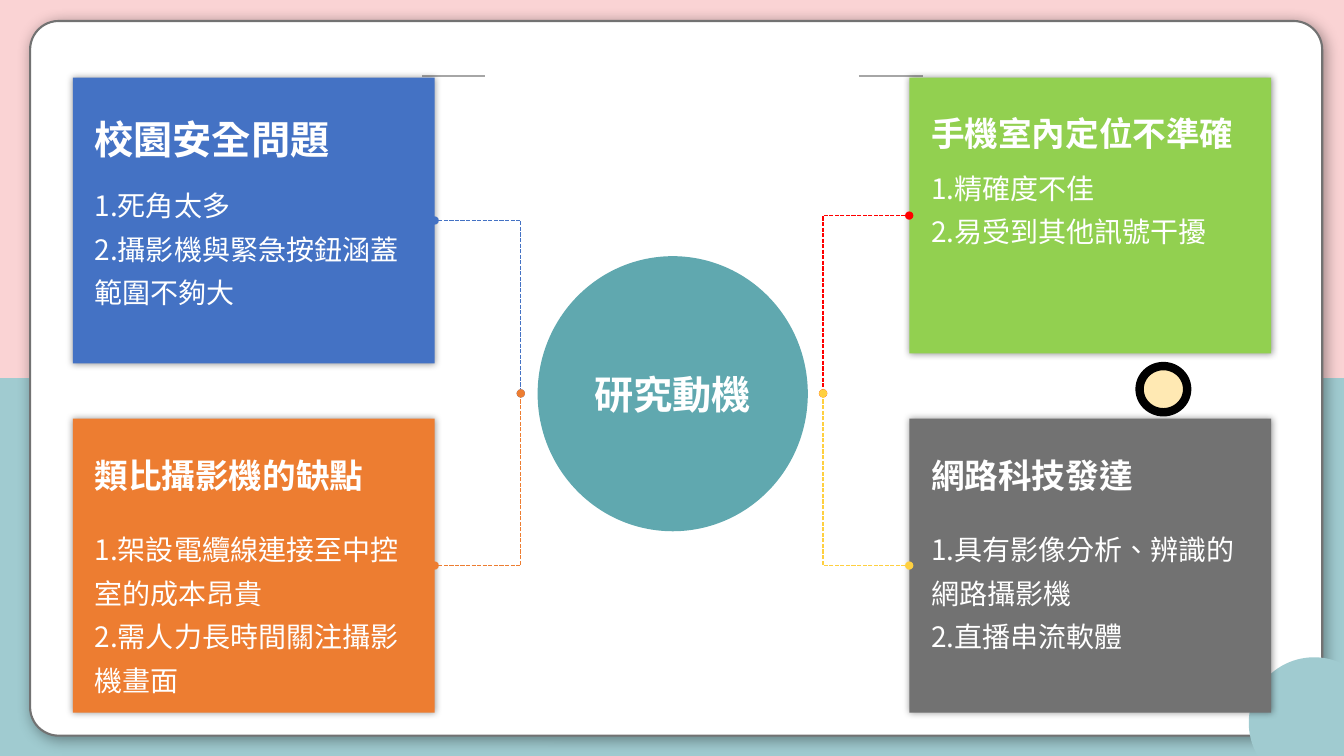
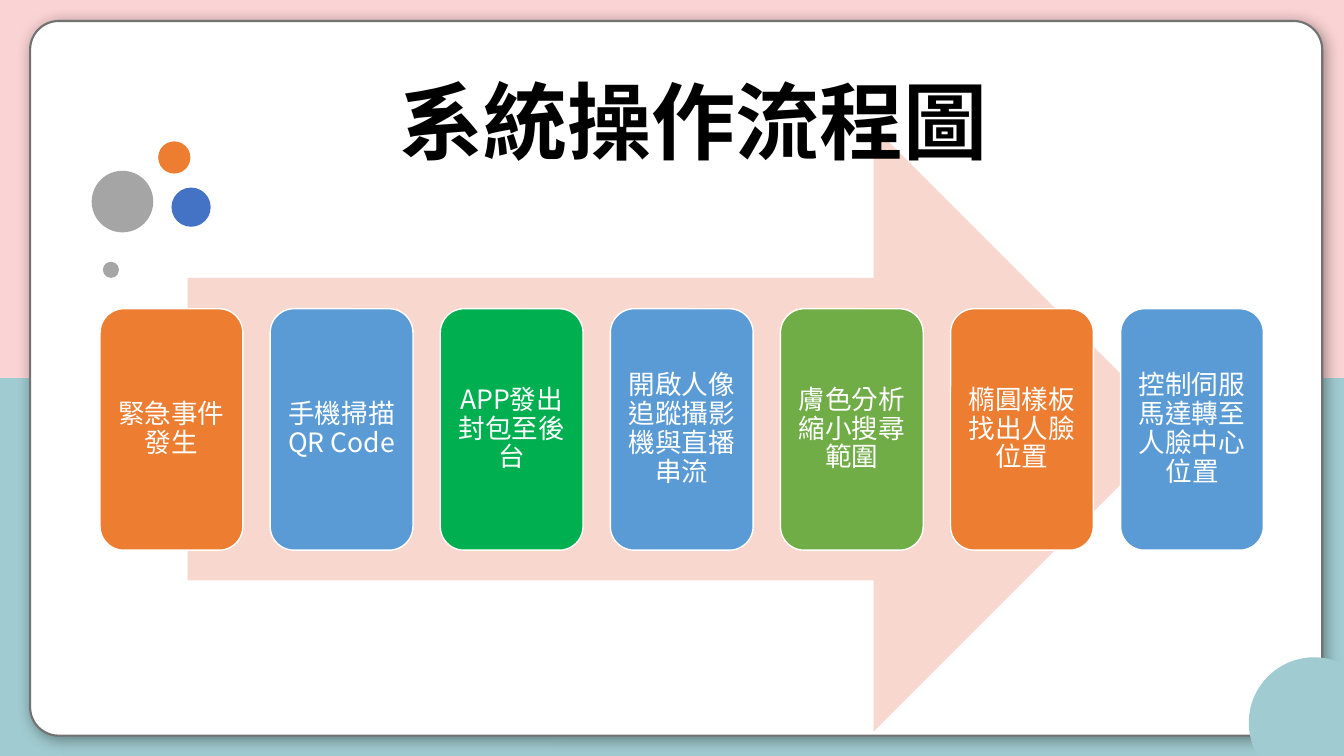
import pptx
import pptx.chart.data
import pptx.dml.color
import pptx.enum.dml
import pptx.enum.lang
import pptx.enum.shapes
import pptx.enum.text
import pptx.oxml
import pptx.oxml.ns
import pptx.util

Pt = pptx.util.Pt
SHAPE = pptx.enum.shapes.MSO_SHAPE
ALIGN = pptx.enum.text.PP_ALIGN
ANCHOR = pptx.enum.text.MSO_ANCHOR
qn = pptx.oxml.ns.qn

# Shared look
FONT = "Noto Sans CJK SC"
WHITE, BLACK, TEAL, PINK, GRAY = "FFFFFF", "000000", "A0CBD0", "FAD3D4", "727272"
BLUE, ORANGE = "4472C4", "ED7D31"
SLIDE_W, SLIDE_H = 960, 540

# Motivation slide: lengths in points
MOTIVATION = "研究動機"
HUB = (384, 183, 193, 196.5)
CARD_W, CARD_INSET = 258.5, 8.5
LEFT_X, RIGHT_X = 52, 649.5
JOINT_Y = 281
JOINT_REACH = 61.5
CARDS = [
    dict(x=LEFT_X, y=55.5, h=204, fill=BLUE, link=BLUE, link_y=157.5,
         heading="校園安全問題", size=28, heading_y=69, body_y=124,
         points=["1.死角太多", "2.攝影機與緊急按鈕涵蓋範圍不夠大"]),
    dict(x=LEFT_X, y=299, h=210, fill=ORANGE, link=ORANGE, link_y=404,
         heading="類比攝影機的缺點", size=24, heading_y=312.5, body_y=369.5,
         points=["1.架設電纜線連接至中控室的成本昂貴", "2.需人力長時間關注攝影機畫面"]),
    dict(x=RIGHT_X, y=55.5, h=197, fill="92D050", link="FF0000", link_y=154,
         heading="手機室內定位不準確", size=24, heading_y=68.5, body_y=111.5,
         points=["1.精確度不佳", "2.易受到其他訊號干擾"]),
    dict(x=RIGHT_X, y=299, h=210, fill=GRAY, link="FFD040", link_y=404,
         heading="網路科技發達", size=24, heading_y=312.5, body_y=369.5,
         points=["1.具有影像分析、辨識的網路攝影機", "2.直播串流軟體"]),
]
TOP_RULES = [(613.5, 659), (301.5, 346.5)]

# Workflow slide
WORKFLOW = "系統操作流程圖"
STEPS = [
    ("緊急事件發生", ORANGE),
    ("手機掃描QR Code", "5B9BD5"),
    ("APP發出封包至後台", "00B050"),
    ("開啟人像追蹤攝影機與直播串流", "5B9BD5"),
    ("膚色分析縮小搜尋範圍", "70AD47"),
    ("橢圓樣板找出人臉位置", ORANGE),
    ("控制伺服馬達轉至人臉中心位置", "5B9BD5"),
]
STEPS_LEFT, STEPS_RIGHT, STEP_W = 71.5, 902.5, 102
BUBBLES = [(122.5, 134, 28, BLUE), (113, 101, 23, ORANGE),
           (73.5, 187, 11.5, "A5A5A5"), (65.5, 122, 44, "A5A5A5")]


def rgb(color):
    return pptx.dml.color.RGBColor.from_string(color)


def add_block(slide, kind, box, fill, line=None, line_w=1):
    block = slide.shapes.add_shape(kind, *map(Pt, box))
    block.shadow.inherit = False
    block.fill.solid()
    block.fill.fore_color.rgb = rgb(fill)
    if line:
        block.line.color.rgb = rgb(line)
        block.line.width = Pt(line_w)
    else:
        block.line.fill.background()
    return block


def add_shadow(block, blur, distance=0, degrees=0):
    effects = block._element.spPr.find(qn("a:effectLst"))
    effects.append(pptx.oxml.parse_xml(
        f'<a:outerShdw {pptx.oxml.ns.nsdecls("a")} blurRad="{Pt(blur)}" dist="{Pt(distance)}" '
        f'dir="{degrees * 60000}" algn="ctr" rotWithShape="0"><a:srgbClr val="{BLACK}">'
        '<a:alpha val="40000"/></a:srgbClr></a:outerShdw>'))


def write(shape, paragraphs, size, color=WHITE, bold=False, align=ALIGN.LEFT,
          anchor=ANCHOR.TOP, spacing=1.0, margins=(7.2, 3.6)):
    frame = shape.text_frame
    frame.word_wrap = True
    frame.auto_size = pptx.enum.text.MSO_AUTO_SIZE.NONE
    frame.vertical_anchor = anchor
    frame.margin_left = frame.margin_right = Pt(margins[0])
    frame.margin_top = frame.margin_bottom = Pt(margins[1])
    frame.text = "\n".join(paragraphs)
    for paragraph in frame.paragraphs:
        paragraph.alignment = align
        paragraph.line_spacing = spacing
        for run in paragraph.runs:
            run.font.name = FONT
            run.font.size = Pt(size)
            run.font.bold = bold
            run.font.color.rgb = rgb(color)
            run.font.language_id = pptx.enum.lang.MSO_LANGUAGE_ID.TRADITIONAL_CHINESE
            east_asian = pptx.oxml.parse_xml(
                f'<a:ea {pptx.oxml.ns.nsdecls("a")} typeface="{FONT}"/>')
            run.font._element.find(qn("a:latin")).addnext(east_asian)


def add_text(slide, box, paragraphs, size, **style):
    write(slide.shapes.add_textbox(*map(Pt, box)), paragraphs, size, **style)


def place_title(slide, text, box, size, **style):
    title = slide.shapes.title
    title.left, title.top, title.width, title.height = map(Pt, box)
    write(title, [text], size, bold=True, **style)
    slide.shapes.element.append(title._element)  # in front of the artwork


def add_line(slide, start, end, color, width, elbow=False):
    kinds = pptx.enum.shapes.MSO_CONNECTOR
    line = slide.shapes.add_connector(kinds.ELBOW if elbow else kinds.STRAIGHT,
                                      *map(Pt, start + end))
    line.line.color.rgb = rgb(color)
    line.line.width = Pt(width)
    properties = line._element.spPr
    if elbow:
        properties.find(qn("a:prstGeom")).set("prst", "bentConnector2")
        line.line.dash_style = pptx.enum.dml.MSO_LINE.SQUARE_DOT
        properties.find(qn("a:ln")).find(qn("a:prstDash")).set("val", "sysDash")
        for tip in ("headEnd", "tailEnd"):
            properties.find(qn("a:ln")).append(pptx.oxml.parse_xml(
                f'<a:{tip} {pptx.oxml.ns.nsdecls("a")} type="oval"/>'))
    properties.append(pptx.oxml.parse_xml(f'<a:effectLst {pptx.oxml.ns.nsdecls("a")}/>'))


def build_backdrop(layout, slide):
    """Draw the shared frame and move it into the layout."""
    half = SLIDE_H / 2
    lower = add_block(slide, SHAPE.RECTANGLE, (0, half, SLIDE_W, half), TEAL)
    upper = add_block(slide, SHAPE.RECTANGLE, (0, 0, SLIDE_W, half), PINK)
    panel = add_block(slide, SHAPE.ROUNDED_RECTANGLE, (21.5, 15, 923, 510.5), WHITE, GRAY, 1.5)
    panel.adjustments[0] = 0.04
    add_shadow(panel, 11, 3, 45)
    corner = add_block(slide, SHAPE.OVAL, (892, 469.5, 93.5, 93.5), TEAL)
    for index, part in enumerate((lower, upper, panel, corner)):
        layout.shapes.element.insert(2 + index, part._element)


def build_motivation(slide):
    for start, end in TOP_RULES:
        add_line(slide, (start, 54), (end, 54), "A6A6A6", 1.5)
    add_block(slide, SHAPE.OVAL, (814, 261.5, 34, 33), "FFE9B3", BLACK, 6)

    # Cards and their links to the hub
    for card in CARDS:
        panel = add_block(slide, SHAPE.RECTANGLE,
                          (card["x"], card["y"], CARD_W, card["h"]), card["fill"])
        add_shadow(panel, 5)
        text_x, text_w = card["x"] + CARD_INSET, CARD_W - 2 * CARD_INSET
        add_text(slide, (text_x, card["heading_y"], text_w, 48), [card["heading"]],
                 card["size"], bold=True, spacing=1.3)
        add_text(slide, (text_x, card["body_y"], text_w, 130), card["points"], 20, spacing=1.3)
    for card in CARDS:
        on_left = card["x"] == LEFT_X
        edge = card["x"] + CARD_W if on_left else card["x"]
        joint = edge + JOINT_REACH if on_left else edge - JOINT_REACH
        add_line(slide, (edge, card["link_y"]), (joint, JOINT_Y), card["link"], 1, elbow=True)

    add_block(slide, SHAPE.OVAL, HUB, "60A8AF")
    place_title(slide, MOTIVATION, HUB, 28, align=ALIGN.CENTER, anchor=ANCHOR.MIDDLE)


def build_workflow(slide):
    for x, y, size, color in BUBBLES:
        add_block(slide, SHAPE.OVAL, (x, y, size, size), color)
    add_block(slide, SHAPE.RIGHT_ARROW, (134, 90.5, 706, 432), "F8D7CE")

    # Equal steps across the arrow
    pitch = (STEPS_RIGHT - STEPS_LEFT - STEP_W) / (len(STEPS) - 1)
    for index, (label, color) in enumerate(STEPS):
        step = add_block(slide, SHAPE.ROUNDED_RECTANGLE,
                         (STEPS_LEFT + index * pitch, 220.5, STEP_W, 172.5), color, WHITE)
        write(step, [label], 19, align=ALIGN.CENTER, anchor=ANCHOR.MIDDLE,
              spacing=0.9, margins=(5.8, 5.8))
    place_title(slide, WORKFLOW, (278, 54.5, 492.5, 111.5), 60, color=BLACK, spacing=0.9)


def main():
    deck = pptx.Presentation()
    deck.slide_width, deck.slide_height = Pt(SLIDE_W), Pt(SLIDE_H)
    layout = deck.slide_layouts[5]
    motivation, workflow = (deck.slides.add_slide(layout) for _ in range(2))
    build_backdrop(layout, motivation)
    build_motivation(motivation)
    build_workflow(workflow)
    deck.save("out.pptx")


if __name__ == "__main__":
    main()
